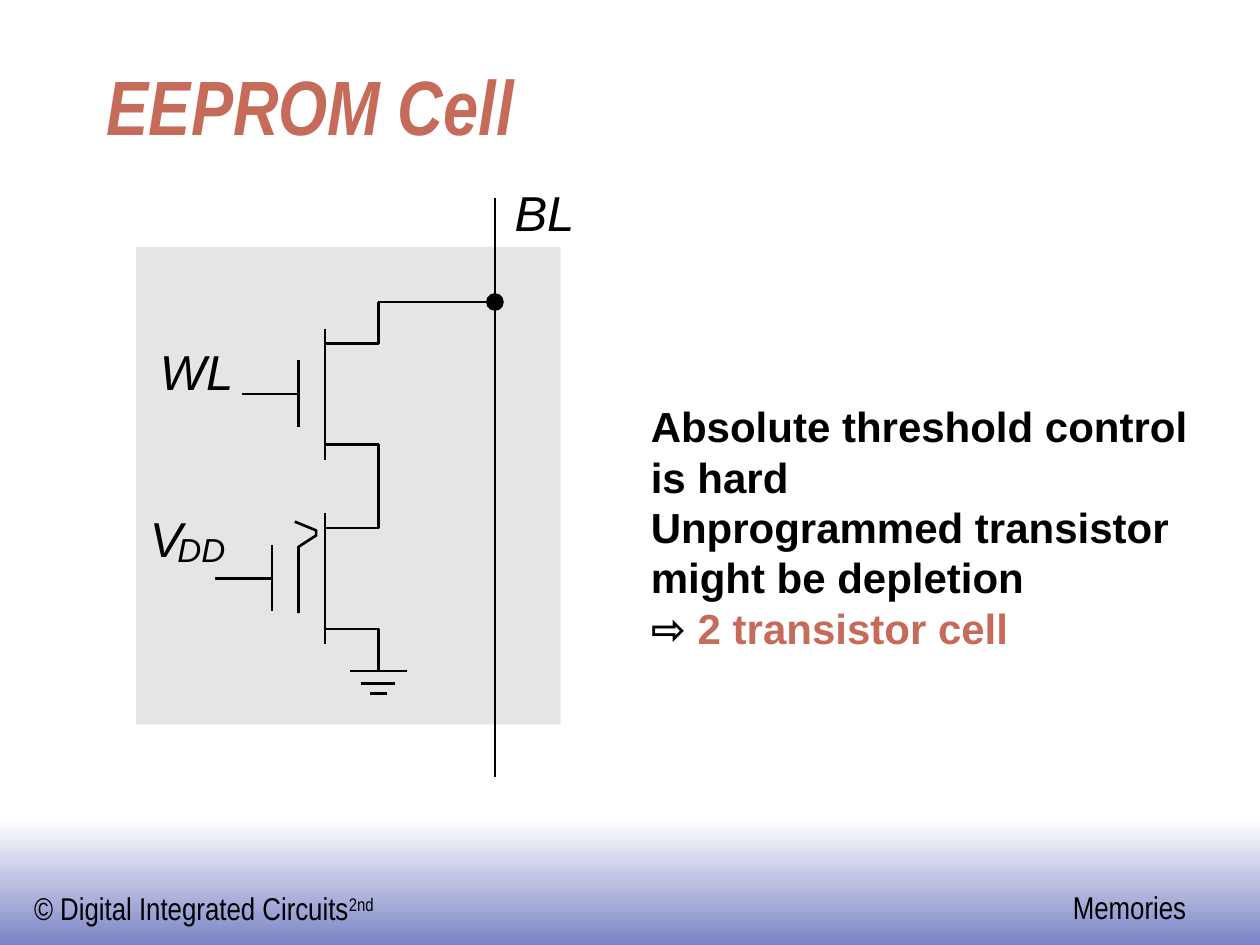
"""Build the EEPROM cell slide: circuit diagram, remarks and footer."""
from dataclasses import dataclass

from lxml import etree
from pptx import Presentation
from pptx.dml.color import RGBColor
from pptx.enum.shapes import MSO_CONNECTOR, MSO_SHAPE
from pptx.enum.text import MSO_ANCHOR, MSO_AUTO_SIZE
from pptx.oxml.ns import qn
from pptx.util import Pt

STRAIGHT = MSO_CONNECTOR.STRAIGHT
RECTANGLE = MSO_SHAPE.RECTANGLE
OVAL = MSO_SHAPE.OVAL
TOP = MSO_ANCHOR.TOP
BOTTOM = MSO_ANCHOR.BOTTOM
GROW = MSO_AUTO_SIZE.SHAPE_TO_FIT_TEXT
FIXED = MSO_AUTO_SIZE.NONE

COLORS = {
    "ink": "000000",
    "accent": "C66B5A",
    "cell": "E5E5E5",
    "white": "FFFFFF",
    "band": "7B84C6",
}
LINE_WIDTH = 1.5
CHANNEL_X = 185.8
NODE_X = 216.2
BIT_LINE_X = 282.8
TAP_Y = 172.6
PITCH = 105.4
GROUND_Y = TAP_Y + 2 * PITCH


@dataclass
class Label:
    """Text box with one style; each paragraph is a list of runs."""

    box: tuple[float, float, float, float]
    paragraphs: list[list[str]]
    size: float
    font: str = "Arial"
    color: str = "ink"
    bold: bool = False
    italic: bool = False
    inset: tuple[float, float] = (7.2, 3.6)
    wrap: bool = False
    anchor: MSO_ANCHOR = TOP


@dataclass
class Transistor:
    """Transistor whose drain lead starts at the node on height top."""

    top: float
    gate_x: float
    lead_x: float


def symbol(text: str, x: float, y: float, w: float, h: float, size: float = 28) -> Label:
    """Return an italic circuit label without insets."""
    return Label((x, y, w, h), [[text]], size, italic=True, inset=(0, 0))


TITLE = Label((54, 30.2, 612, 59.8), [["EEPROM Cell"]], 44, "Arial Narrow", "accent",
              bold=True, italic=True, wrap=True, anchor=BOTTOM)
COPYRIGHT = Label((12.4, 504.7, 211, 28.8), [["© Digital Integrated Circuits", "2nd"]],
                  18, "Arial Narrow")
CHAPTER = Label((606, 504, 79.2, 28.8), [["Memories"]], 18, "Arial Narrow")
REMARKS = Label((364.8, 225.4, 321.2, 151.2),
                [["Absolute threshold control"], ["is hard"],
                 ["Unprogrammed transistor \vmight be depletion"],
                 ["⇨ ", "2 transistor cell"]], 24, bold=True)
SYMBOLS = [
    symbol("WL", 91.4, 195.1, 43, 33.8),
    symbol("BL", 294, 104.4, 35, 33.8),
    symbol("V", 85.7, 290.6, 19, 33.8),
    symbol("DD", 101.4, 302.4, 27.8, 23, 19),
]
TRANSISTORS = [
    Transistor(TAP_Y, 170.6, 138.2),
    Transistor(TAP_Y + PITCH, 155.5, 122.6),
]
FLOATING_GATE = [(170.6, 350.4), (170.6, 312.5), (180.7, 306), (180.7, 303.1), (168.5, 298.1)]
GROUND_BARS = [(0, 16.2), (7.2, 9.7), (13, 4.7)]


def rgb(name: str) -> RGBColor:
    """Return the named colour."""
    return RGBColor.from_string(COLORS[name])


def add_label(s, label: Label):
    """Add a text box and return its text frame."""
    tf = s.shapes.add_textbox(*map(Pt, label.box)).text_frame
    tf.word_wrap = label.wrap
    tf.auto_size = FIXED if label.wrap else GROW
    tf.vertical_anchor = label.anchor
    tf.margin_left = tf.margin_right = Pt(label.inset[0])
    tf.margin_top = tf.margin_bottom = Pt(label.inset[1])
    for i, runs in enumerate(label.paragraphs):
        p = tf.paragraphs[0] if i == 0 else tf.add_paragraph()
        p.font.size = Pt(label.size)
        p.font.name = label.font
        p.font.bold = label.bold
        p.font.italic = label.italic
        p.font.color.rgb = rgb(label.color)
        if len(runs) == 1:
            p.text = runs[0]
        else:
            for text in runs:
                p.add_run().text = text
    return tf


def add_line(s, x1: float, y1: float, x2: float, y2: float) -> None:
    """Draw a straight wire."""
    line = s.shapes.add_connector(STRAIGHT, Pt(x1), Pt(y1), Pt(x2), Pt(y2))
    line.line.color.rgb = rgb("ink")
    line.line.width = Pt(LINE_WIDTH)
    etree.SubElement(line._element.spPr, qn("a:effectLst"))


def add_path(s, points: list[tuple[float, float]]) -> None:
    """Draw an open bent wire."""
    start, *rest = [(Pt(x), Pt(y)) for x, y in points]
    builder = s.shapes.build_freeform(*start)
    builder.add_line_segments(rest, close=False)
    sp = builder.convert_to_shape()
    sp.shadow.inherit = False
    sp.fill.background()
    sp.line.color.rgb = rgb("ink")
    sp.line.width = Pt(LINE_WIDTH)


def add_block(s, kind: MSO_SHAPE, x: float, y: float, w: float, h: float, color: str):
    """Add a filled shape without outline and return it."""
    sp = s.shapes.add_shape(kind, Pt(x), Pt(y), Pt(w), Pt(h))
    sp.shadow.inherit = False
    sp.fill.solid()
    sp.fill.fore_color.rgb = rgb(color)
    sp.line.fill.background()
    return sp


def add_transistor(s, t: Transistor) -> None:
    """Draw the drain and source leads, channel, gate and gate lead."""
    drain, source, bottom = t.top + 23.8, t.top + 81.4, t.top + PITCH
    add_path(s, [(NODE_X, t.top), (NODE_X, drain), (CHANNEL_X, drain)])
    add_path(s, [(CHANNEL_X, source), (NODE_X, source), (NODE_X, bottom)])
    add_line(s, CHANNEL_X, t.top + 15.2, CHANNEL_X, t.top + 90)
    add_line(s, t.gate_x, t.top + 33.4, t.gate_x, t.top + 71.4)
    add_line(s, t.lead_x, t.top + 52.6, t.gate_x, t.top + 52.6)


def add_footer(s) -> None:
    """Draw the gradient band with its two texts."""
    band = add_block(s, RECTANGLE, 0, 468, 720, 72, "white")
    band.fill.gradient()
    band.fill.gradient_angle = 270
    for stop, position, color in zip(band.fill.gradient_stops, (0, 1), ("white", "band")):
        stop.position = position
        stop.color.rgb = rgb(color)
    edition = add_label(s, COPYRIGHT).paragraphs[0].runs[1]
    edition._r.get_or_add_rPr().set("baseline", "30000")
    add_label(s, CHAPTER)


def add_circuit(s) -> None:
    """Draw the two-transistor cell on its bit line."""
    add_block(s, RECTANGLE, 77.8, 141.1, 242.6, 272.9, "cell")
    add_line(s, BIT_LINE_X, 444.2, BIT_LINE_X, 113)
    for t in TRANSISTORS:
        add_transistor(s, t)
    add_path(s, FLOATING_GATE)
    add_line(s, NODE_X, TAP_Y, BIT_LINE_X, TAP_Y)
    for label in SYMBOLS:
        add_label(s, label)
    for drop, half in GROUND_BARS:
        add_line(s, NODE_X + half, GROUND_Y + drop, NODE_X - half, GROUND_Y + drop)
    dot = add_block(s, OVAL, BIT_LINE_X - 4.3, TAP_Y - 4.3, 8.6, 8.6, "ink")
    dot.line.color.rgb = rgb("ink")
    dot.line.width = Pt(LINE_WIDTH)


def main() -> None:
    """Create the slide and save it."""
    prs = Presentation()
    prs.slide_width, prs.slide_height = Pt(720), Pt(540)
    s = prs.slides.add_slide(prs.slide_layouts[6])
    add_footer(s)
    add_label(s, TITLE)
    add_circuit(s)
    conclusion = add_label(s, REMARKS).paragraphs[-1].runs[1]
    conclusion.font.color.rgb = rgb("accent")
    prs.save("out.pptx")


if __name__ == "__main__":
    main()
